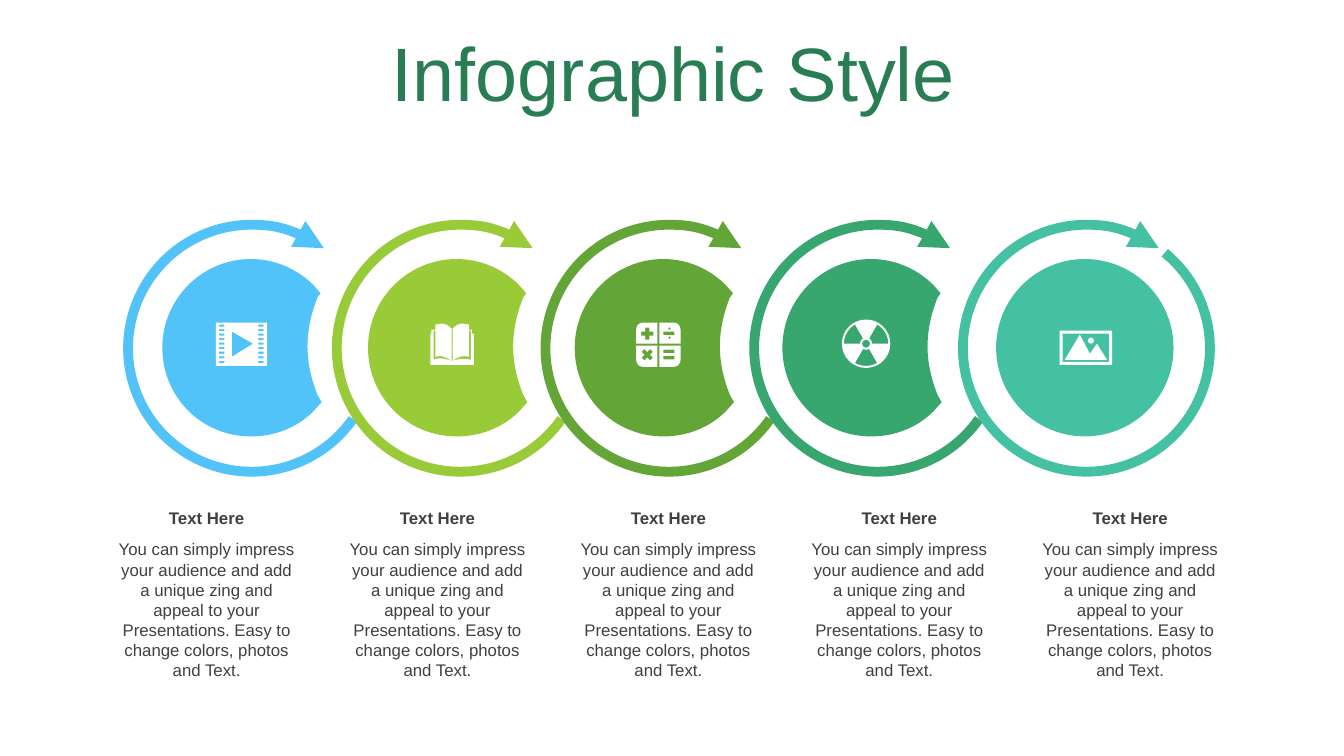
from math import cos, pi, radians, sin, tan

from lxml.etree import SubElement
from pptx import Presentation
from pptx.dml.color import RGBColor
from pptx.enum.shapes import MSO_SHAPE
from pptx.enum.text import MSO_ANCHOR, MSO_AUTO_SIZE, PP_ALIGN
from pptx.oxml.ns import qn
from pptx.util import Inches, Pt

COLORS = ["51C3F9", "99CB38", "63A537", "37A76F", "44C1A3"]
LEFTS = [1.61, 3.65, 5.7, 7.76]
WHITE = "FFFFFF"
GREY = "404040"
BODY = ("You can simply impress your audience and add a unique zing and appeal "
        "to your Presentations. Easy to change colors, photos and Text.")
BITTEN = [(0.88, 0), (1.12, 0, 1.34, 0.1, 1.5, 0.26), (1.57, 0.34), (1.54, 0.38),
          (1.48, 0.53, 1.44, 0.69, 1.44, 0.87), (1.44, 1.04, 1.48, 1.2, 1.54, 1.35),
          (1.58, 1.42), (1.5, 1.51), (1.34, 1.67, 1.12, 1.76, 0.88, 1.76),
          (0.39, 1.76, 0, 1.37, 0, 0.88), (0, 0.4, 0.39, 0, 0.88, 0)]
BOOK = [(4.48, 3.58), (4.49, 3.58), (4.56, 3.56, 4.59, 3.55, 4.67, 3.57),
        (4.67, 3.28), (4.65, 3.28), (4.65, 3.54), (4.6, 3.52, 4.54, 3.54, 4.49, 3.58),
        (4.49, 3.26), (4.52, 3.23, 4.55, 3.21, 4.59, 3.21),
        (4.6, 3.21, 4.62, 3.22, 4.65, 3.22), (4.65, 3.27), (4.68, 3.27),
        (4.68, 3.31), (4.7, 3.31), (4.7, 3.62), (4.27, 3.62), (4.27, 3.31),
        (4.28, 3.31), (4.28, 3.27), (4.32, 3.27), (4.32, 3.22),
        (4.34, 3.22, 4.36, 3.21, 4.38, 3.21), (4.42, 3.21, 4.45, 3.23, 4.48, 3.26),
        (4.48, 3.58), (4.42, 3.54, 4.37, 3.52, 4.32, 3.54), (4.32, 3.28),
        (4.3, 3.28), (4.3, 3.57), (4.37, 3.54, 4.41, 3.56, 4.48, 3.58)]
KEY = [(0.15, 0.22), (0.01, 0.22), (0.01, 0.01), (0.22, 0.01), (0.22, 0.15),
       (0.22, 0.19, 0.19, 0.22, 0.15, 0.22)]


def rgb(color):
    """Turn a hex string into a colour."""
    return RGBColor.from_string(color)


def pairs(step):
    """Split a step into its points."""
    return list(zip(step[::2], step[1::2]))


def shift(steps, left, top, across=1, down=1):
    """Move steps to a place, mirrored where a sign is negative."""
    return [tuple(v for x, y in pairs(step) for v in (left + across * x, top + down * y))
            for step in steps]


def box(left, top, right, bottom):
    """Give the corners of a rectangle."""
    return [(left, top), (right, top), (right, bottom), (left, bottom)]


def bow(x, y, radius, start=0, end=360):
    """Give an arc between two angles as four Bezier curves."""
    turn = radians(end - start) / 4
    pull = 4 / 3 * tan(turn / 4)
    steps = [(cos(radians(start)), sin(radians(start)))]
    for i in range(4):
        a = radians(start) + i * turn
        b = a + turn
        steps.append((cos(a) - pull * sin(a), sin(a) + pull * cos(a),
                      cos(b) + pull * sin(b), sin(b) - pull * cos(b), cos(b), sin(b)))
    return shift(steps, x, y, radius, radius)


def cross(x, y, turn=0):
    """Give the corners of a plus sign turned by an angle."""
    arm, half = 0.06, 0.02
    points = []
    for i in range(4):
        a = turn + i * pi / 2
        points += [(px * cos(a) - py * sin(a), px * sin(a) + py * cos(a))
                   for px, py in [(arm, -half), (arm, half), (half, half)]]
    return shift(points, x, y)


def fill(shape, color):
    """Give a shape a plain fill without line or shadow."""
    shape.shadow.inherit = False
    shape.fill.solid()
    shape.fill.fore_color.rgb = rgb(color)
    shape.line.fill.background()


def draw(slide, color, *loops):
    """Add one freeform of closed loops, where six numbers make a curve."""
    pen = None
    for loop in loops:
        points = [(Inches(x), Inches(y)) for step in loop for x, y in pairs(step)]
        if pen is None:
            pen = slide.shapes.build_freeform(*points[0])
        else:
            pen.move_to(*points[0])
        pen.add_line_segments(points[1:])
    shape = pen.convert_to_shape()
    lines = iter(list(shape._element.iter(qn("a:lnTo"))))
    for step in (step for loop in loops for step in loop[1:]):
        node = next(lines)
        if len(step) == 6:
            node.tag = qn("a:cubicBezTo")
            for spare in (next(lines), next(lines)):
                node.append(spare[0])
                spare.getparent().remove(spare)
    fill(shape, color)


def add_ring(slide, left, color, end):
    """Add an open ring with an arrowhead."""
    ring = slide.shapes.add_shape(MSO_SHAPE.ARC, Inches(left), Inches(2.23),
                                  Inches(2.45), Inches(2.45))
    ring.shadow.inherit = False
    ring.adjustments[0] = 140.47
    ring.adjustments[1] = end
    ring.fill.background()
    ring.line.color.rgb = rgb(color)
    ring.line.width = Pt(7)
    ring._element.spPr.find(qn("a:xfrm")).set("flipH", "1")
    SubElement(ring.line._get_or_add_ln(), qn("a:headEnd"), type="triangle")


def style(frame, text, size, color, bold=False):
    """Write and format one centred paragraph."""
    frame.text = text
    line = frame.paragraphs[0]
    line.alignment = PP_ALIGN.CENTER
    line.font.name = "Arial"
    line.font.size = Pt(size)
    line.font.bold = bold
    line.font.color.rgb = rgb(color)


def add_text(slide, text, left, top, height, bold=False):
    """Add a centred text box."""
    label = slide.shapes.add_textbox(Inches(left), Inches(top), Inches(1.96), Inches(height))
    frame = label.text_frame
    frame.word_wrap = True
    frame.auto_size = MSO_AUTO_SIZE.SHAPE_TO_FIT_TEXT
    style(frame, text, 12, GREY, bold)


def add_title(slide, text):
    """Place and format the title."""
    title = slide.shapes.title
    title.left, title.top = Inches(0.35), Inches(0.37)
    title.width, title.height = Inches(12.66), Inches(0.79)
    frame = title.text_frame
    frame.auto_size = MSO_AUTO_SIZE.NONE
    frame.vertical_anchor = MSO_ANCHOR.MIDDLE
    style(frame, text, 54, "297D53")
    frame.paragraphs[0].line_spacing = 0.9


def add_icons(slide):
    """Add the five white icons."""
    holes = [box(left, 3.22 + 0.045 * i, left + 0.055, 3.24 + 0.045 * i)
             for i in range(9) for left in (2.17, 2.56)]
    draw(slide, WHITE, box(2.14, 3.2, 2.65, 3.63),
         [(2.3, 3.29), (2.3, 3.54), (2.51, 3.41)], *holes)

    draw(slide, WHITE, BOOK)

    keys = [shift(KEY, 6.53, 3.42, across, down) for across in (-1, 1) for down in (-1, 1)]
    bars = [box(6.58, top, 6.69, top + 0.035) for top in (3.29, 3.47, 3.53)]
    dots = [bow(6.64, y, 0.015) for y in (3.26, 3.35)]
    draw(slide, WHITE, *keys, *bars, *dots, cross(6.42, 3.31), cross(6.42, 3.52, pi / 4))

    x, y = 8.59, 3.41
    gaps = [bow(x, y, 0.22, a, a + 60) + bow(x, y, 0.06, a + 60, a) for a in (60, 180, 300)]
    draw(slide, WHITE, bow(x, y, 0.24), bow(x, y, 0.04), *gaps)

    hills = [(10.71, 3.32), (10.81, 3.51), (10.88, 3.41), (10.98, 3.57), (10.56, 3.57)]
    draw(slide, WHITE, box(10.51, 3.28, 11.03, 3.62), box(10.54, 3.31, 11, 3.59),
         hills, bow(10.82, 3.38, 0.03))


def main():
    """Build the slide."""
    deck = Presentation()
    deck.slide_width, deck.slide_height = Inches(13.33), Inches(7.5)
    slide = deck.slides.add_slide(deck.slide_layouts[5])
    add_title(slide, "Infographic Style")
    for i, color in enumerate(COLORS):
        add_ring(slide, 1.27 + 2.07 * i, color, 138.37 if i == 4 else 87.04)
        add_text(slide, "Text Here", 1.07 + 2.29 * i, 4.99, 0.3, True)
        add_text(slide, BODY, 1.07 + 2.29 * i, 5.3, 1.51)
    for left, color in zip(LEFTS, COLORS):
        draw(slide, color, shift(BITTEN, left, 2.57))
    disc = slide.shapes.add_shape(MSO_SHAPE.OVAL, Inches(9.88), Inches(2.57),
                                  Inches(1.76), Inches(1.76))
    fill(disc, COLORS[-1])
    add_icons(slide)
    deck.save("out.pptx")


if __name__ == "__main__":
    main()
